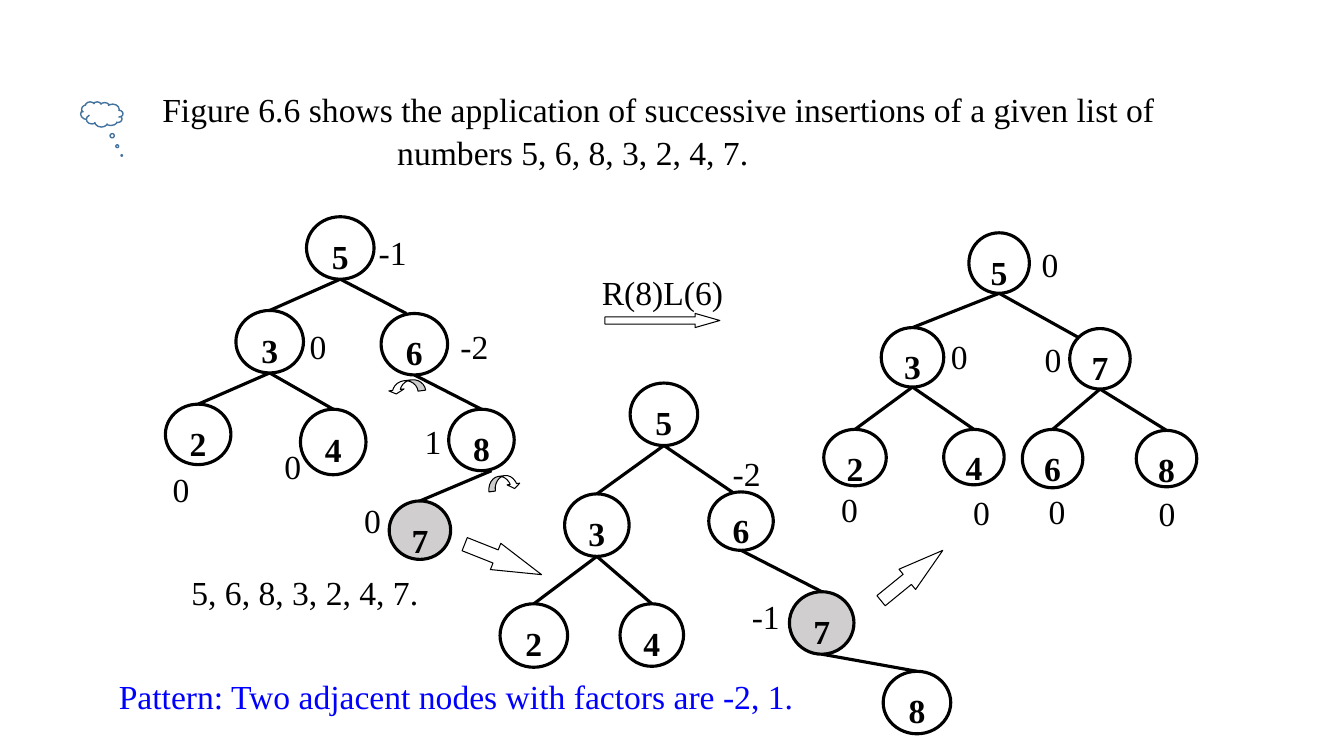
"""Builds a slide that shows an AVL tree double rotation."""
import dataclasses
import typing

import pptx
import pptx.dml.color
import pptx.enum.shapes
import pptx.enum.text
import pptx.util

BLACK = pptx.dml.color.RGBColor(0x00, 0x00, 0x00)
WHITE = pptx.dml.color.RGBColor(0xFF, 0xFF, 0xFF)
GREY = pptx.dml.color.RGBColor(0xD0, 0xCE, 0xCE)
BLUE = pptx.dml.color.RGBColor(0x00, 0x00, 0xFF)
STEEL = pptx.dml.color.RGBColor(0x43, 0x73, 0x9E)

W, H = pptx.util.Inches(13.33), pptx.util.Inches(7.5)
COL, ROW = W / 133.3, H / 75
MSO = pptx.enum.shapes.MSO_SHAPE
ALIGN = pptx.enum.text.PP_ALIGN
FONT = {"name": "Times New Roman", "size": pptx.util.Pt(24)}
FRAME = {
    "word_wrap": True,
    "auto_size": pptx.enum.text.MSO_AUTO_SIZE.NONE,
    "vertical_anchor": pptx.enum.text.MSO_ANCHOR.TOP,
}
LABEL_W, LABEL_H = 5.1, 5


@dataclasses.dataclass
class Box:
    """A place on the grid, in columns and rows."""
    x: float
    y: float
    w: float
    h: float


@dataclasses.dataclass
class Node(Box):
    """A tree node, with shifts for the two ends of the edge to its parent."""
    key: str
    parent: str = ""
    fill: pptx.dml.color.RGBColor = WHITE
    start_dx: float = 0
    end_dx: float = 0
    end_dy: float = 0


@dataclasses.dataclass
class Label:
    """A balance factor beside a node."""
    x: float
    y: float
    text: str = "0"


@dataclasses.dataclass
class Tree:
    """Nodes and their balance factors."""
    nodes: list[Node]
    labels: list[Label]


@dataclasses.dataclass
class Mark(Box):
    """An adjusted preset shape."""
    kind: MSO
    adj: tuple[float, ...]
    rot: float = 0
    flip: str = ""
    color: pptx.dml.color.RGBColor = BLACK
    width: float = 0.75


TREES = [
    Tree([
        Node(30.4, 21.5, 6.7, 6.2, "5"),
        Node(23.4, 30.8, 6.7, 6.2, "3", "5"),
        Node(37.8, 31.1, 6.6, 6.1, "6", "5", end_dx=-0.8),
        Node(16.4, 40.1, 6.5, 6, "2", "3"),
        Node(29.8, 40.6, 6.5, 6.5, "4", "3"),
        Node(44.5, 40.6, 6.5, 6.1, "8", "6"),
        Node(38.6, 49.7, 6.1, 5.8, "7", "8", GREY, start_dx=1),
    ], [
        Label(36.4, 22.2, "-1"), Label(29, 31.6), Label(44.5, 31.6, "-2"),
        Label(15.4, 45.7), Label(26.5, 43.5), Label(40.4, 41, "1"), Label(34.4, 48.8),
    ]),
    Tree([
        Node(62.5, 38, 6.7, 6.2, "5"),
        Node(56, 49, 6.4, 6.2, "3", "5"),
        Node(70.3, 48.8, 6.4, 5.8, "6", "5", end_dx=-0.6, end_dy=0.2),
        Node(49.6, 59.9, 6.7, 6.3, "2", "3"),
        Node(61.5, 59.9, 6.3, 6.2, "4", "3"),
        Node(78.3, 58.7, 6.4, 6.2, "7", "6", GREY),
        Node(87.6, 66.6, 6.7, 6.2, "8", "7"),
    ], [Label(71.5, 44.2, "-2"), Label(73.4, 58.3, "-1")]),
    Tree([
        Node(96.1, 23.1, 6, 6, "5"),
        Node(87.4, 32.5, 6.2, 5.9, "3", "5"),
        Node(106.1, 32.6, 6, 6, "7", "5", end_dx=-2.1, end_dy=0.9),
        Node(81.7, 42.6, 6.2, 5.6, "2", "3"),
        Node(93.6, 42.6, 6, 5.5, "4", "3"),
        Node(101.4, 42.6, 6, 5.8, "6", "7"),
        Node(112.7, 42.7, 6, 5.6, "8", "7"),
    ], [
        Label(101.6, 23.4), Label(92.6, 32.6), Label(101.9, 32.9),
        Label(81.7, 47.7), Label(94.8, 48), Label(102.3, 47.9), Label(113.2, 48.1),
    ]),
]

MARKS = [
    Mark(49.3, 46.3, 1.4, 3.2, MSO.CURVED_RIGHT_ARROW, (0.45, 0.91, 0.33), 82.6, "flipV"),
    Mark(39.7, 36.5, 1.2, 3.7, MSO.CURVED_RIGHT_ARROW, (0.63, 1.27, 0.33), 82.6),
    Mark(60, 31.1, 11.4, 1.4, MSO.RIGHT_ARROW, (0.5, 1.75)),
    Mark(45.8, 54.1, 8.2, 2.8, MSO.RIGHT_ARROW, (0.5, 1.75), 21.6),
    Mark(86.5, 55.8, 7.9, 2.6, MSO.RIGHT_ARROW, (0.5, 1.75), 320.8),
    Mark(8, 10.1, 4.2, 2.5, MSO.CLOUD_CALLOUT, (-0.47, 1.63), 0, "flipH", STEEL, 1),
]

TITLE = [
    ("Figure 6.6 shows the application of successive insertions of a given list of", 0),
    ("numbers 5, 6, 8, 3, 2, 4, 7.", 23.3),
]


def apply(obj: typing.Any, values: dict[str, typing.Any]) -> None:
    """Sets each named attribute of an object."""
    for name, value in values.items():
        setattr(obj, name, value)


def place(box: Box) -> dict[str, int]:
    """Turns a grid box into slide lengths."""
    return {"left": round(box.x * COL), "top": round(box.y * ROW),
            "width": round(box.w * COL), "height": round(box.h * ROW)}


def write(p, text: str, align: ALIGN, color=BLACK, bold: bool = False) -> None:
    """Fills one paragraph with formatted text."""
    apply(p, {"alignment": align, "line_spacing": 1.07})
    r = p.add_run()
    r.text = text
    apply(r.font, FONT | {"bold": bold})
    r.font.color.rgb = color


def add_text(s, box: Box, text: str, align: ALIGN = ALIGN.LEFT, color=BLACK) -> None:
    """Adds a one-line text box."""
    tf = s.shapes.add_textbox(**place(box)).text_frame
    apply(tf, FRAME)
    write(tf.paragraphs[0], text, align, color)


def add_preset(s, kind: MSO, box: Box, fill, color, width: float):
    """Adds a filled and outlined preset shape."""
    sp = s.shapes.add_shape(kind, **place(box))
    sp.shadow.inherit = False
    sp.fill.solid()
    sp.fill.fore_color.rgb = fill
    sp.line.color.rgb = color
    sp.line.width = pptx.util.Pt(width)
    return sp


def add_edge(s, parent: Node, child: Node) -> None:
    """Joins the bottom of a parent to the top of its child."""
    ends = (parent.x + parent.w / 2 + child.start_dx, parent.y + parent.h,
            child.x + child.w / 2 + child.end_dx, child.y + child.end_dy)
    x1, y1, x2, y2 = (round(v * unit) for v, unit in zip(ends, (COL, ROW, COL, ROW)))
    line = s.shapes.add_connector(pptx.enum.shapes.MSO_CONNECTOR.STRAIGHT, x1, y1, x2, y2)
    line.line.color.rgb = BLACK
    line.line.width = pptx.util.Pt(2.25)
    line._element.spPr.append(pptx.oxml.parse_xml(
        '<a:effectLst xmlns:a="http://schemas.openxmlformats.org/drawingml/2006/main"/>'))


def add_tree(s, tree: Tree) -> None:
    """Draws the edges, nodes and balance factors of a tree."""
    by_key = {node.key: node for node in tree.nodes}
    for node in tree.nodes:
        if node.parent:
            add_edge(s, by_key[node.parent], node)
    for node in tree.nodes:
        tf = add_preset(s, MSO.OVAL, node, node.fill, BLACK, 2.25).text_frame
        apply(tf, FRAME | {"margin_top": round(0.7 * ROW)})
        write(tf.paragraphs[0], node.key, ALIGN.CENTER, bold=True)
    for label in tree.labels:
        add_text(s, Box(label.x, label.y, LABEL_W, LABEL_H), label.text, ALIGN.CENTER)


def add_mark(s, mark: Mark) -> None:
    """Draws an arrow or a callout."""
    sp = add_preset(s, mark.kind, mark, WHITE, mark.color, mark.width)
    sp.rotation = mark.rot
    for i, value in enumerate(mark.adj):
        sp.adjustments[i] = value
    if mark.flip:
        sp._element.spPr.get_or_add_xfrm().set(mark.flip, "1")


def add_title(s) -> None:
    """Fills the title placeholder."""
    title = s.shapes.title
    apply(title, place(Box(15.1, 8, 101.2, 9.1)))
    tf = title.text_frame
    apply(tf, FRAME)
    for i, (text, indent) in enumerate(TITLE):
        p = tf.add_paragraph() if i else tf.paragraphs[0]
        p._p.get_or_add_pPr().set("marL", str(round(indent * COL)))
        write(p, text, ALIGN.LEFT)


def main() -> None:
    """Builds and saves the slide."""
    prs = pptx.Presentation()
    apply(prs, {"slide_width": W, "slide_height": H})
    s = prs.slides.add_slide(prs.slide_layouts[5])
    add_title(s)
    for tree in TREES:
        add_tree(s, tree)
    for mark in MARKS:
        add_mark(s, mark)
    add_text(s, Box(58.7, 26.2, 14.8, 5), "R(8)L(6)")
    add_text(s, Box(18, 56, 25.6, 5), "5, 6, 8, 3, 2, 4, 7.")
    add_text(s, Box(10.8, 66.3, 69.8, 5),
             "Pattern: Two adjacent nodes with factors are -2, 1.", color=BLUE)
    prs.save("out.pptx")


if __name__ == "__main__":
    main()
